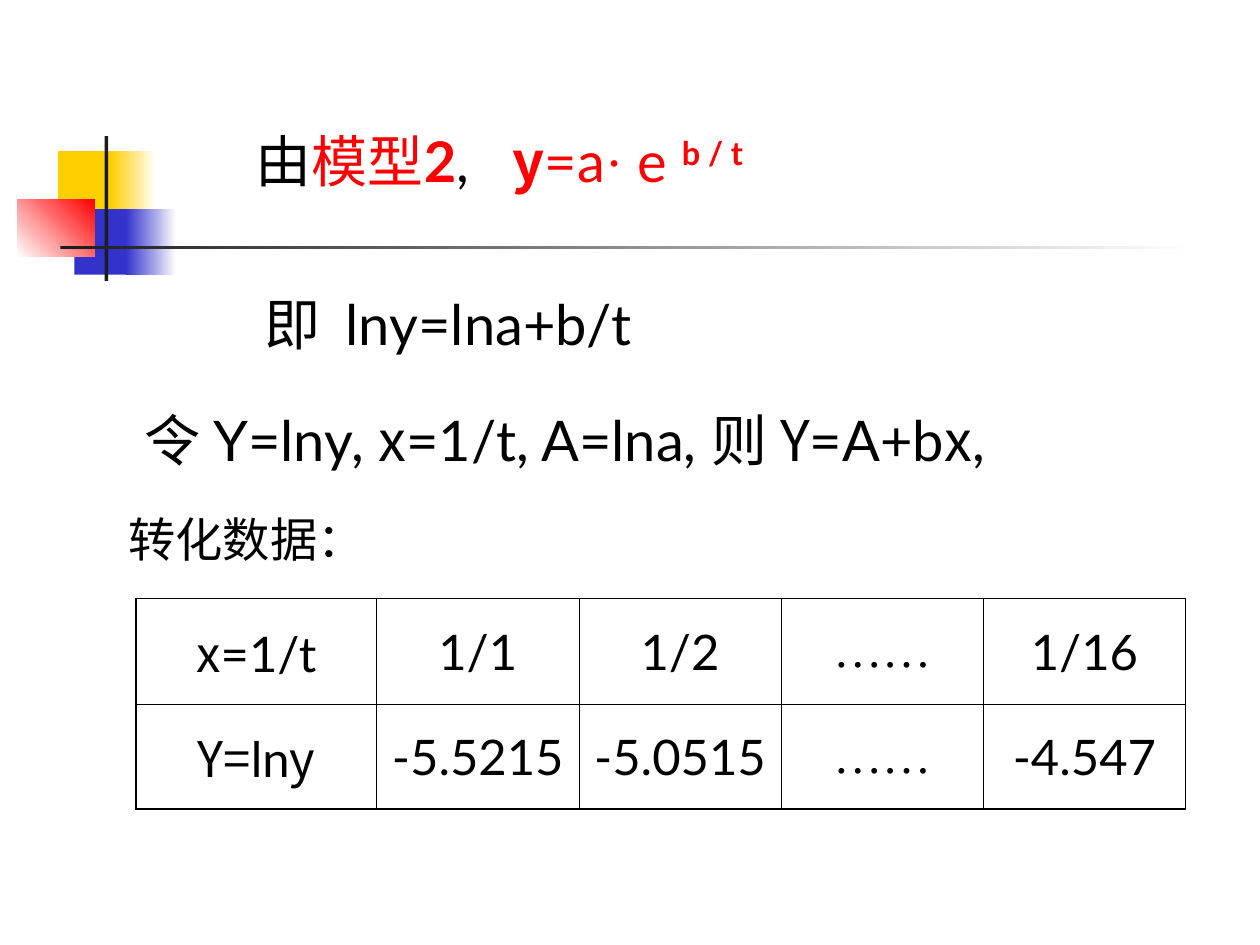
import pptx
import pptx.util
import pptx.dml.color
import pptx.enum.shapes
import pptx.enum.text
import pptx.oxml
import pptx.oxml.ns

Inches = pptx.util.Inches
COLORS = {"black": "000000", "red": "FF0000", "white": "FFFFFF", "yellow": "FFCF01",
          "blue": "3333CC", "ink": "1C1C1C"}
LATIN, CJK, TIMES = "Lato", "Noto Sans CJK SC", "Times New Roman"
BLACK = {"name": LATIN}
RED = {"name": LATIN, "color": "red"}
SYMBOL = {"name": CJK}
DOTS = {"name": TIMES}

ORNAMENTS = [
    ((0.46, 1.2, 0.48, 0.52), ["yellow"], 0),
    ((0.88, 1.2, 0.36, 0.52), ["yellow", "white"], 0),
    ((0.59, 1.66, 0.46, 0.52), ["blue"], 0),
    ((1, 1.66, 0.4, 0.52), ["blue", "white"], 0),
    ((0.14, 1.58, 0.61, 0.46), ["white", "red"], 45),
    ((0.83, 1.08, 0.03, 1.15), ["ink"], 0),
    ((0.48, 1.95, 9, 0.03), ["ink", "white"], 0),
]
MODEL = [
    ("由", BLACK), ("模型", RED), ("2", {**RED, "bold": True}), (",   ", BLACK),
    ("y", {"name": CJK, "color": "red", "bold": True}), ("=a", RED),
    ("·", {"name": TIMES, "color": "red"}), (" e ", RED),
    ("b / t", {**RED, "bold": True, "baseline": 30000}),
]
LOGARITHM = [("即  lny=lna+b/t", BLACK)]
SUBSTITUTION = [
    ("令 Y=lny, ", BLACK), ("x", SYMBOL), ("=1/t, A=lna, ", BLACK), ("则 Y", SYMBOL),
    ("=A+b", BLACK), ("x", SYMBOL), (",", BLACK),
]
CAPTION = [("转化数据：", BLACK)]
DATA = [
    [[("x", SYMBOL), ("=1/t", BLACK)], [("1/1", BLACK)], [("1/2", BLACK)],
     [("……", DOTS)], [("1/16", BLACK)]],
    [[("Y=", SYMBOL), ("ln", BLACK), ("y", SYMBOL)], [("-5.5215", BLACK)],
     [("-5.0515", BLACK)], [("……", DOTS)], [("-4.547", BLACK)]],
]
COLUMN_WIDTHS = [1.91] + [1.605] * 4
ROW_HEIGHTS = [0.84, 0.83]


def color(name):
    """Return the named colour as an RGB value."""
    return pptx.dml.color.RGBColor.from_string(COLORS[name])


def add_ornament(page, place, names, angle):
    """Add a plain or gradient rectangle without outline."""
    shape = page.shapes.add_shape(
        pptx.enum.shapes.MSO_SHAPE.RECTANGLE, *map(Inches, place))
    shape.shadow.inherit = False
    shape.line.fill.background()
    if len(names) == 1:
        shape.fill.solid()
        shape.fill.fore_color.rgb = color(names[0])
        return
    shape.fill.gradient()
    shape.fill.gradient_angle = angle
    for stop, name in zip(shape.fill.gradient_stops, names):
        stop.color.rgb = color(name)


def write_spans(para, spans, size, align):
    """Fill a paragraph with formatted spans."""
    para.alignment = align
    for text, style in spans:
        span = para.add_run()
        span.text = text
        values = {"size": pptx.util.Pt(size), "bold": False, **style}
        tint = values.pop("color", "black")
        baseline = values.pop("baseline", None)
        for key, value in values.items():
            setattr(span.font, key, value)
        span.font.color.rgb = color(tint)
        properties = span.font._element
        if baseline:
            properties.set("baseline", str(baseline))
        asian = pptx.oxml.parse_xml(f'<a:ea {pptx.oxml.ns.nsdecls("a")}/>')
        asian.set("typeface", TIMES if style["name"] == TIMES else CJK)
        properties.find(pptx.oxml.ns.qn("a:latin")).addnext(asian)


def fill_box(box, place, spans, size=32, wrap=False, align=pptx.enum.text.PP_ALIGN.LEFT):
    """Place a text shape and write its single line."""
    box.left, box.top, box.width, box.height = map(Inches, place)
    frame = box.text_frame
    settings = {"word_wrap": wrap,
                "auto_size": pptx.enum.text.MSO_AUTO_SIZE.SHAPE_TO_FIT_TEXT,
                "vertical_anchor": pptx.enum.text.MSO_ANCHOR.TOP}
    for key, value in settings.items():
        setattr(frame, key, value)
    write_spans(frame.paragraphs[0], spans, size, align)


def add_text(page, place, spans, **options):
    """Add a text box with one line of spans."""
    fill_box(page.shapes.add_textbox(*map(Inches, place)), place, spans, **options)


def set_borders(cell, outer_sides):
    """Draw the cell borders, heavier on the outer sides."""
    properties = cell._tc.get_or_add_tcPr()
    for side in "LRTB":
        width = pptx.util.Pt(1.08 if side in outer_sides else 0.45)
        properties.append(pptx.oxml.parse_xml(
            f'<a:ln{side} {pptx.oxml.ns.nsdecls("a")} w="{int(width)}"><a:solidFill>'
            f'<a:srgbClr val="{COLORS["black"]}"/></a:solidFill></a:ln{side}>'))


def add_data_table(page):
    """Add the table of transformed data."""
    rows, columns = len(DATA), len(DATA[0])
    place = (1.08, 4.75, sum(COLUMN_WIDTHS), sum(ROW_HEIGHTS))
    table = page.shapes.add_table(rows, columns, *map(Inches, place)).table
    table.first_row = table.horz_banding = False
    for column, width in zip(table.columns, COLUMN_WIDTHS):
        column.width = Inches(width)
    for r, row in enumerate(DATA):
        table.rows[r].height = Inches(ROW_HEIGHTS[r])
        for c, spans in enumerate(row):
            cell = table.cell(r, c)
            edges = {"L": c == 0, "R": c == columns - 1, "T": r == 0, "B": r == rows - 1}
            set_borders(cell, [side for side, outer in edges.items() if outer])
            cell.fill.background()
            cell.vertical_anchor = pptx.enum.text.MSO_ANCHOR.MIDDLE
            write_spans(cell.text_frame.paragraphs[0], spans, 28,
                        pptx.enum.text.PP_ALIGN.CENTER)


def main():
    """Build the slide and save the deck."""
    deck = pptx.Presentation()
    deck.slide_width, deck.slide_height = Inches(10), Inches(7.5)
    page = deck.slides.add_slide(deck.slide_layouts[5])
    for ornament in ORNAMENTS:
        add_ornament(page, *ornament)
    fill_box(page.shapes.title, (1.93, 0.95, 4.26, 0.64), MODEL)
    add_text(page, (2, 2.25, 3.35, 0.64), LOGARITHM, wrap=True,
             align=pptx.enum.text.PP_ALIGN.JUSTIFY)
    add_text(page, (1.05, 3.17, 7.36, 0.64), SUBSTITUTION)
    add_text(page, (0.92, 4, 2.07, 0.55), CAPTION, size=27)
    add_data_table(page)
    deck.save("out.pptx")


if __name__ == "__main__":
    main()
